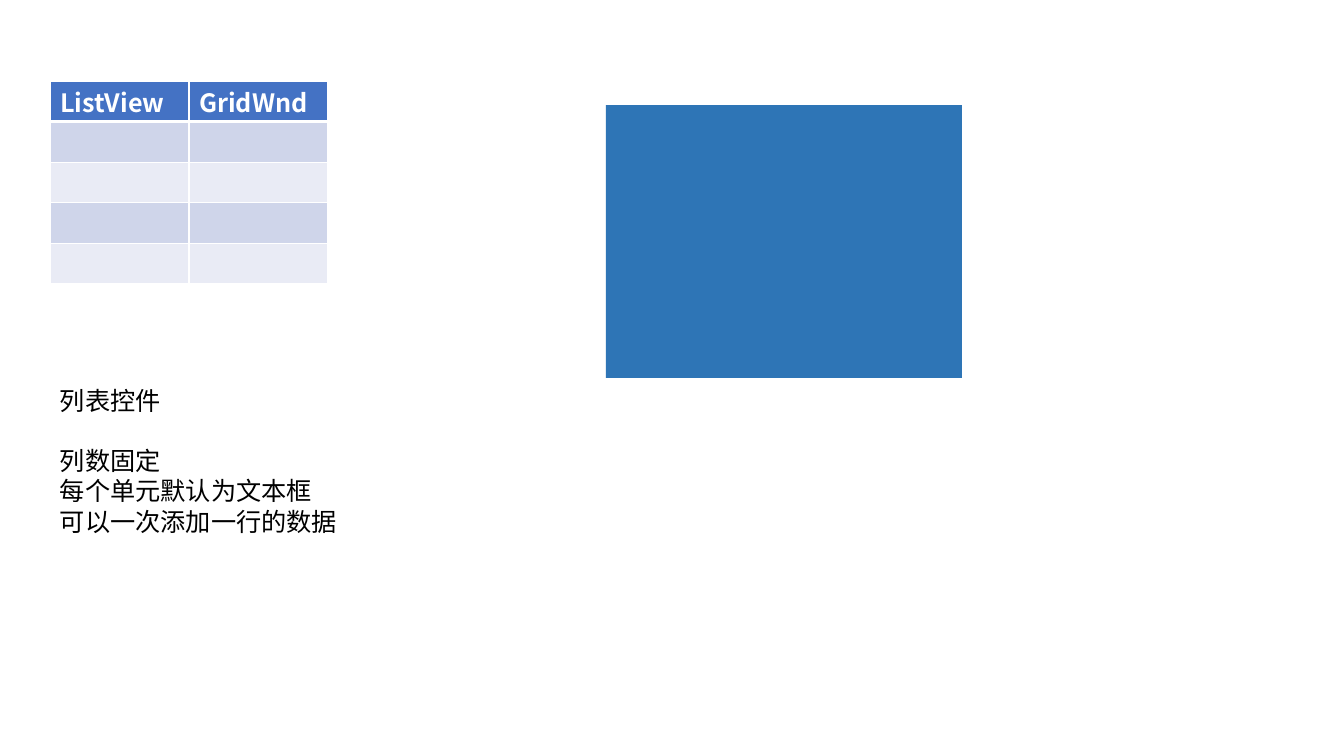
from dataclasses import dataclass

from lxml import etree
from pptx import Presentation
from pptx.dml.color import RGBColor as RGB
from pptx.enum.shapes import MSO_SHAPE as SHAPE
from pptx.oxml.ns import qn
from pptx.util import Emu, Pt

EMU_PER_PX = 914400 / 100.8


@dataclass(frozen=True)
class Theme:
    font: str = "Noto Sans CJK SC"
    size: float = 18
    leading: float = 21.6
    text: str = "000000"
    header_text: str = "FFFFFF"
    header: str = "4472C4"
    bands: tuple = ("CFD5EA", "E9EBF5")
    border: str = "FFFFFF"
    panel: str = "2E75B6"


THEME = Theme()
HEADINGS = ["ListView", "GridWnd"]
NOTES = ["列表控件", "列数固定", "每个单元默认为文本框", "可以一次添加一行的数据"]


def px(n):
    return Emu(round(n * EMU_PER_PX))


def format_paragraph(p, color, bold=False):
    p.line_spacing = Pt(THEME.leading)
    for r in p.runs:
        r.font.name = THEME.font
        r.font.size = Pt(THEME.size)
        r.font.bold = bold
        r.font.color.rgb = RGB.from_string(color)
        etree.SubElement(r.font._element, qn("a:ea"), typeface=THEME.font)


def set_borders(cell, **widths):
    """Draw cell borders; widths maps L, R, T and B to points."""
    tc_pr = cell._tc.get_or_add_tcPr()
    for side in "LRTB":
        ln = etree.SubElement(tc_pr, qn(f"a:ln{side}"), w=str(Pt(widths.get(side, 1))))
        fill = etree.SubElement(ln, qn("a:solidFill"))
        etree.SubElement(fill, qn("a:srgbClr"), val=THEME.border)


def format_cell(cell, row):
    is_header = row == 0
    cell.margin_top, cell.margin_bottom = px(9), 0
    format_paragraph(cell.text_frame.paragraphs[0], THEME.header_text, is_header)
    set_borders(cell, T=3 if row == 1 else 1, B=3 if is_header else 1)
    color = THEME.header if is_header else THEME.bands[(row - 1) % 2]
    cell.fill.solid()
    cell.fill.fore_color.rgb = RGB.from_string(color)


def add_grid(slide, headings, rows, x, y, w, h):
    table = slide.shapes.add_table(
        rows, len(headings), px(x), px(y), px(w), px(h)).table
    for col, heading in enumerate(headings):
        table.cell(0, col).text = heading
    for row in range(rows):
        for col in range(len(headings)):
            format_cell(table.cell(row, col), row)


def add_panel(slide, x, y, w, h):
    s = slide.shapes.add_shape(SHAPE.RECTANGLE, px(x), px(y), px(w), px(h))
    s.shadow.inherit = False
    s.fill.solid()
    s.fill.fore_color.rgb = RGB.from_string(THEME.panel)
    s.line.fill.background()


def add_notes_text(slide, lines, x, y, w, h):
    """Add a text box whose first line stands apart from the rest."""
    tf = slide.shapes.add_textbox(px(x), px(y), px(w), px(h)).text_frame
    tf.word_wrap = True
    tf.margin_top = px(7)
    tf.text = "\n".join(lines)
    for p in tf.paragraphs:
        format_paragraph(p, THEME.text)
    tf.paragraphs[1].space_before = Pt(THEME.leading)


def main():
    prs = Presentation()
    prs.slide_width, prs.slide_height = px(1344), px(756)
    slide = prs.slides.add_slide(prs.slide_layouts.get_by_name("Blank"))
    add_panel(slide, 606, 105, 356, 273)
    add_grid(slide, HEADINGS, 5, 50, 81, 278, 203)
    add_notes_text(slide, NOTES, 50, 378, 372, 163)
    prs.save("out.pptx")


if __name__ == "__main__":
    main()
